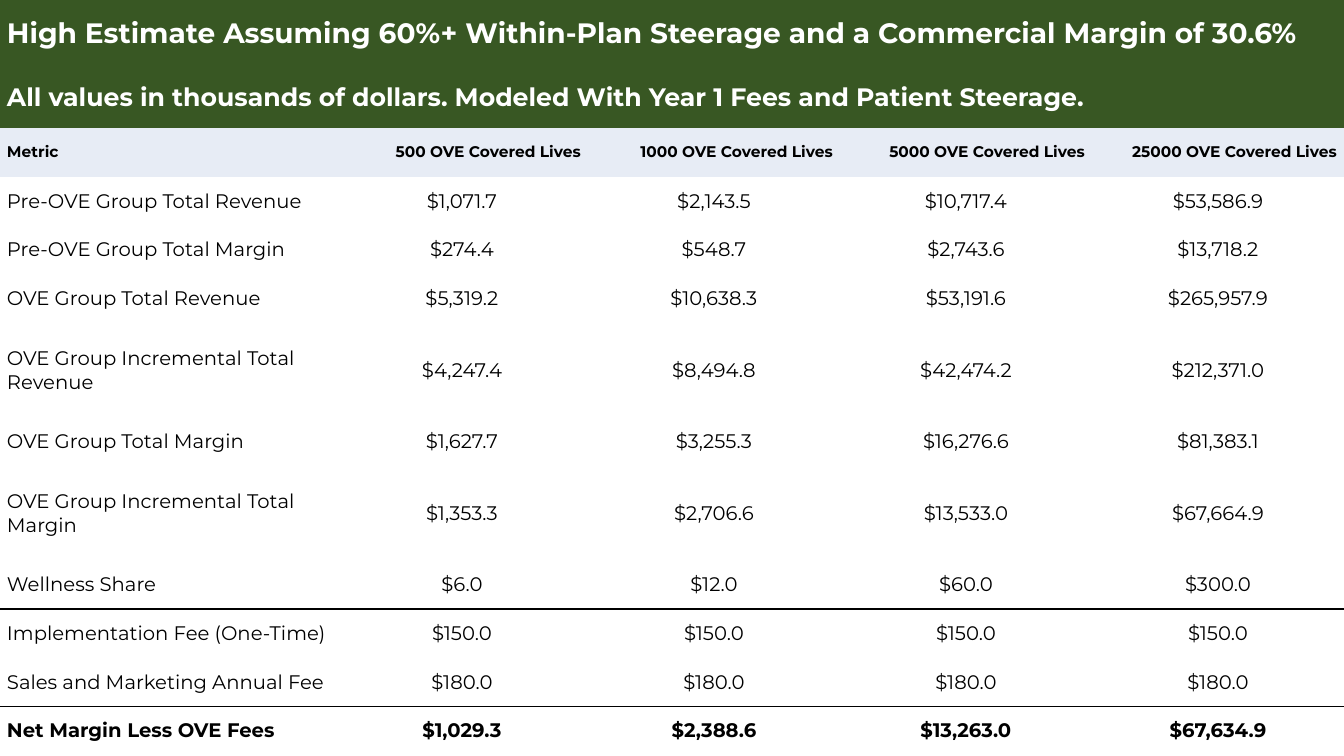
from dataclasses import dataclass

from lxml.etree import SubElement
from pptx import Presentation
from pptx.dml.color import RGBColor
from pptx.enum.text import MSO_ANCHOR, PP_ALIGN
from pptx.oxml.ns import qn
from pptx.table import Table, _Cell
from pptx.util import Pt


# Theme
@dataclass(frozen=True)
class Theme:
    font: str = "Montserrat"
    green: str = "385723"
    pale: str = "E7ECF5"
    white: str = "FFFFFF"
    black: str = "000000"
    title: float = 20
    sub: float = 18
    head: float = 11
    body: float = 14


@dataclass(frozen=True)
class Band:
    text: str
    size: float
    height: float


@dataclass(frozen=True)
class Metric:
    name: str
    vals: tuple[str, ...]
    height: float = 34.85
    bold: bool = False
    over: bool = False
    under: bool = False


THEME = Theme()
WIDTH, HEIGHT = 960, 540
COLS = (240, 180, 180, 180, 180)
PAD = 5
TALL = 67.3
PLAIN = "{2D5ABB26-0587-4C30-8999-92F81FD0307C}"

# Content
BANDS = (
    Band("High Estimate Assuming 60%+ Within-Plan Steerage and a Commercial Margin of 30.6%", THEME.title, 48.2),
    Band("All values in thousands of dollars. Modeled With Year 1 Fees and Patient Steerage.", THEME.sub, 43.2),
)
HEAD = Metric("Metric", tuple(f"{n} OVE Covered Lives" for n in (500, 1000, 5000, 25000)), bold=True)
ROWS = (
    Metric("Pre-OVE Group Total Revenue", ("$1,071.7", "$2,143.5", "$10,717.4", "$53,586.9")),
    Metric("Pre-OVE Group Total Margin", ("$274.4", "$548.7", "$2,743.6", "$13,718.2")),
    Metric("OVE Group Total Revenue", ("$5,319.2", "$10,638.3", "$53,191.6", "$265,957.9")),
    Metric("OVE Group Incremental Total Revenue", ("$4,247.4", "$8,494.8", "$42,474.2", "$212,371.0"), TALL),
    Metric("OVE Group Total Margin", ("$1,627.7", "$3,255.3", "$16,276.6", "$81,383.1")),
    Metric("OVE Group Incremental Total Margin", ("$1,353.3", "$2,706.6", "$13,533.0", "$67,664.9"), TALL),
    Metric("Wellness Share", ("$6.0", "$12.0", "$60.0", "$300.0"), under=True),
    Metric("Implementation Fee (One-Time)", ("$150.0",) * 4, over=True),
    Metric("Sales and Marketing Annual Fee", ("$180.0",) * 4, under=True),
    Metric("Net Margin Less OVE Fees", ("$1,029.3", "$2,388.6", "$13,263.0", "$67,634.9"), bold=True, over=True),
)


def write(cell: _Cell, text: str, *, size: float, color: str = THEME.black,
          bold: bool = False, align: PP_ALIGN = PP_ALIGN.LEFT) -> None:
    """Put formatted text in a cell, inset at both sides."""
    cell.margin_left = cell.margin_right = cell.margin_top = cell.margin_bottom = 0
    cell.vertical_anchor = MSO_ANCHOR.MIDDLE
    para = cell.text_frame.paragraphs[0]
    para.alignment = align
    props = para._p.get_or_add_pPr()
    for side in ("marL", "marR"):
        props.set(side, str(Pt(PAD)))
    run = para.add_run()
    run.text = text
    run.font.name = THEME.font
    run.font.size = Pt(size)
    run.font.bold = bold
    run.font.color.rgb = RGBColor.from_string(color)


def paint(cell: _Cell, color: str | None) -> None:
    """Fill a cell, or leave it clear."""
    if color is None:
        cell.fill.background()
    else:
        cell.fill.solid()
        cell.fill.fore_color.rgb = RGBColor.from_string(color)


def rule(cell: _Cell, edge: str, shown: bool) -> None:
    """Set one edge to a thin black border or to none."""
    props = cell._tc.get_or_add_tcPr()
    line = SubElement(props, qn(f"a:{edge}"), w=str(Pt(1)))
    if shown:
        fill = SubElement(line, qn("a:solidFill"))
        SubElement(fill, qn("a:srgbClr"), val=THEME.black)
    else:
        SubElement(line, qn("a:noFill"))
    props.insert(0, line)


def add_band(table: Table, row: int, band: Band) -> None:
    table.rows[row].height = Pt(band.height)
    cell = table.cell(row, 0)
    cell.merge(table.cell(row, len(COLS) - 1))
    for col in range(len(COLS)):
        paint(table.cell(row, col), THEME.green)
    write(cell, band.text, size=band.size, color=THEME.white, bold=True)


def add_row(table: Table, row: int, item: Metric, *, size: float = THEME.body,
            fill: str | None = None, align: PP_ALIGN = PP_ALIGN.CENTER) -> None:
    table.rows[row].height = Pt(item.height)
    for col, text in enumerate((item.name, *item.vals)):
        cell = table.cell(row, col)
        write(cell, text, size=size, bold=item.bold, align=align if col else PP_ALIGN.LEFT)
        paint(cell, fill)
        # Each edge goes in front, so the bottom is set before the top
        rule(cell, "lnB", item.under)
        rule(cell, "lnT", item.over)


def main() -> None:
    deck = Presentation()
    deck.slide_width, deck.slide_height = Pt(WIDTH), Pt(HEIGHT)
    slide = deck.slides.add_slide(deck.slide_layouts[6])

    # Table frame
    count = len(BANDS) + 1 + len(ROWS)
    frame = slide.shapes.add_table(count, len(COLS), Pt(0), Pt(0), Pt(WIDTH), Pt(HEIGHT))
    table = frame.table
    table.first_row = table.horz_banding = False
    for style in frame.element.iter(qn("a:tableStyleId")):
        style.text = PLAIN
    for column, width in zip(table.columns, COLS):
        column.width = Pt(width)

    # Title bands, column heads, metrics
    for row, band in enumerate(BANDS):
        add_band(table, row, band)
    add_row(table, len(BANDS), HEAD, size=THEME.head, fill=THEME.pale, align=PP_ALIGN.RIGHT)
    for row, item in enumerate(ROWS, len(BANDS) + 1):
        add_row(table, row, item)

    deck.save("out.pptx")


if __name__ == "__main__":
    main()
